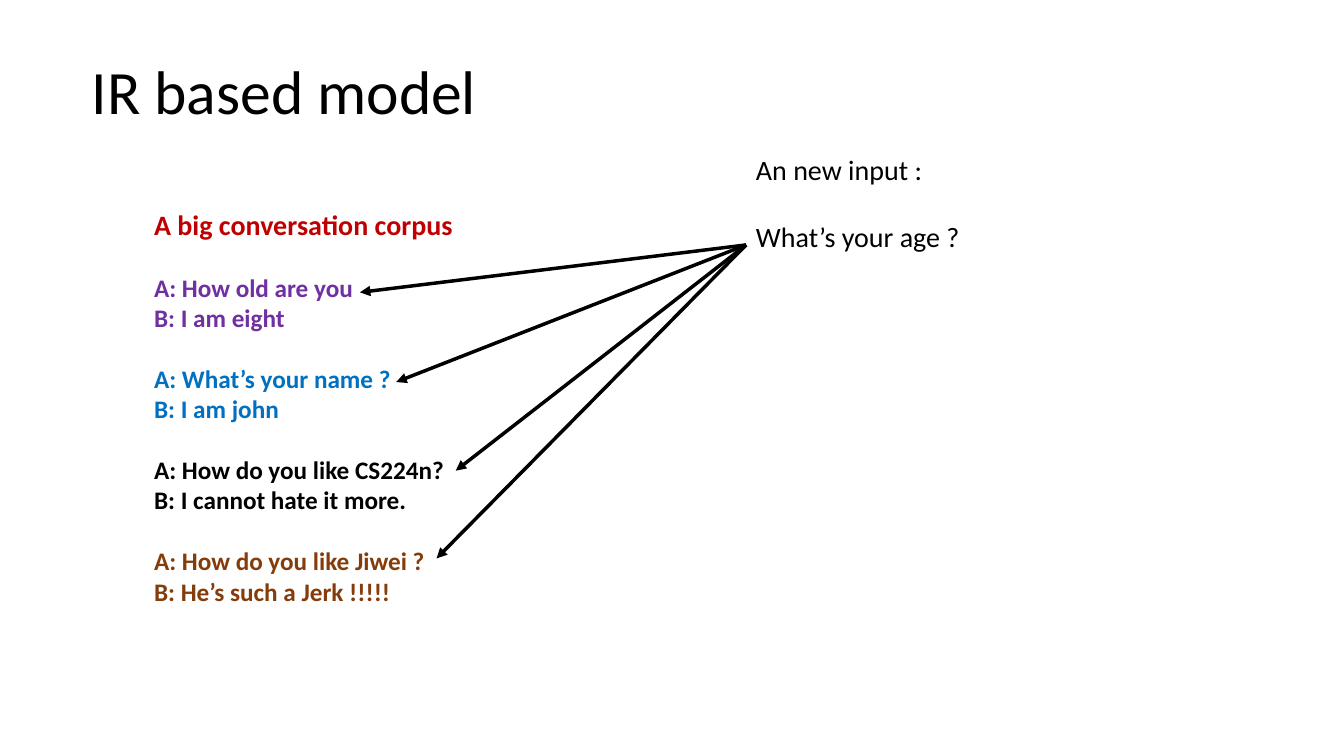
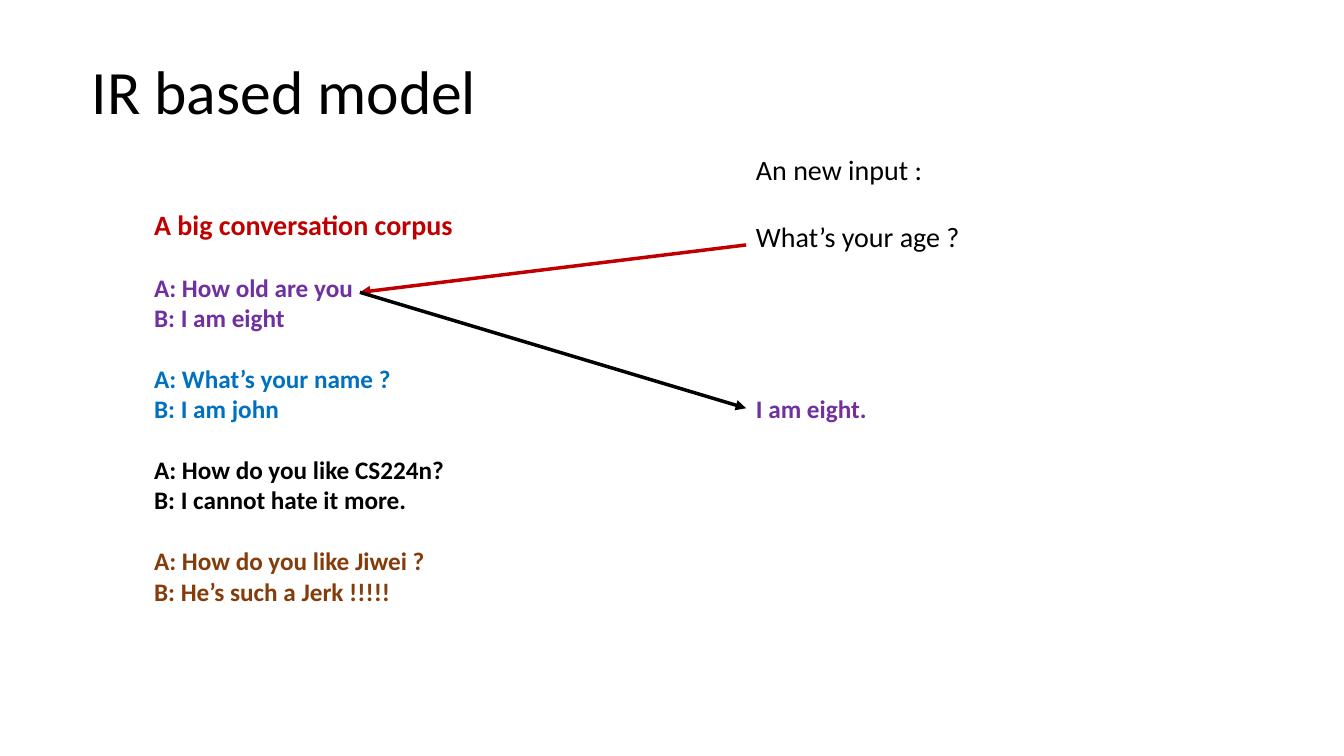
import pptx
import pptx.util
import pptx.dml.color
import pptx.enum.shapes
import pptx.enum.text
import pptx.oxml.ns
from lxml import etree

Inches, Pt = pptx.util.Inches, pptx.util.Pt

FONT = "Calibri"
COLORS = {
    "black": "000000",
    "red": "C00000",
    "purple": "7030A0",
    "blue": "0070C0",
    "brown": "843C0B",
}
EXCHANGES = [
    ("purple", "A: How old are you", "B: I am eight"),
    ("blue", "A: What’s your name ?", "B: I am john"),
    ("black", "A: How do you like CS224n?", "B: I cannot hate it more."),
    ("brown", "A: How do you like Jiwei ?", "B: He’s such a Jerk !!!!!"),
]

# Regions: left, top, width, height in inches
TITLE_BOX = (0.81, 0.42, 5.91, 1.04)
CORPUS_BOX = (1.43, 2.01, 4.16, 4.07)
INPUT_BOX = (7.4, 1.46, 5.5, 1.11)
ANSWER_BOX = (7.4, 3.85, 4.57, 0.4)

# Arrow ends: the new input, the answer and the question of each exchange
INPUT_POINT = (7.4, 2.43)
ANSWER_POINT = (7.4, 4.05)
QUESTION_POINTS = [(3.57, 2.9), (3.93, 3.79), (4.52, 4.67), (4.33, 5.54)]


def rgb(color):
    return pptx.dml.color.RGBColor.from_string(COLORS[color])


def style(paragraph, size, color="black", bold=False, gap=0):
    paragraph.space_before = Pt(gap)
    font = paragraph.font
    font.name, font.size, font.bold = FONT, Pt(size), bold
    font.color.rgb = rgb(color)


def add_lines(slide, box, lines):
    """Each line is (text, size, color, bold, gap before it in points)."""
    frame = slide.shapes.add_textbox(*map(Inches, box)).text_frame
    frame.word_wrap = True
    for index, (text, *look) in enumerate(lines):
        paragraph = frame.add_paragraph() if index else frame.paragraphs[0]
        paragraph.text = text
        style(paragraph, *look)


def add_title(slide, box, text):
    title = slide.shapes.title
    title.left, title.top, title.width, title.height = map(Inches, box)
    frame = title.text_frame
    frame.text = text
    frame.auto_size = pptx.enum.text.MSO_AUTO_SIZE.NONE
    frame.vertical_anchor = pptx.enum.text.MSO_ANCHOR.MIDDLE
    heading = frame.paragraphs[0]
    heading.alignment = pptx.enum.text.PP_ALIGN.LEFT
    heading.line_spacing = 0.9
    style(heading, 44)


def add_corpus(slide, box):
    lines = [("A big conversation corpus", 20, "red", True, 0)]
    for color, question, reply in EXCHANGES:
        lines.append((question, 18, color, True, 22))
        lines.append((reply, 18, color, True, 0))
    add_lines(slide, box, lines)


def add_input(slide, box):
    add_lines(slide, box, [
        ("An new input :", 20, "black", False, 0),
        ("What’s your age ?", 20, "black", False, 24.4),
    ])


def add_arrow(slide, start, end, color="black"):
    arrow = slide.shapes.add_connector(
        pptx.enum.shapes.MSO_CONNECTOR.STRAIGHT, *map(Inches, start + end))
    arrow.line.color.rgb = rgb(color)
    arrow.line.width = Pt(2.5)
    qn = pptx.oxml.ns.qn
    line = arrow.line._get_or_add_ln()
    etree.SubElement(line, qn("a:tailEnd")).set("type", "triangle")
    etree.SubElement(arrow._element.spPr, qn("a:effectLst"))


def add_model_slide(prs):
    """Title, corpus and new input, which both slides share."""
    slide = prs.slides.add_slide(prs.slide_layouts.get_by_name("Title Only"))
    add_title(slide, TITLE_BOX, "IR based model")
    add_corpus(slide, CORPUS_BOX)
    add_input(slide, INPUT_BOX)
    return slide


def add_matching_slide(prs):
    slide = add_model_slide(prs)
    for question_point in QUESTION_POINTS:
        add_arrow(slide, INPUT_POINT, question_point)


def add_answer_slide(prs):
    slide = add_model_slide(prs)
    best_match = QUESTION_POINTS[0]
    add_arrow(slide, INPUT_POINT, best_match, "red")
    add_lines(slide, ANSWER_BOX, [("I am eight.", 18, "purple", True, 0)])
    add_arrow(slide, best_match, ANSWER_POINT)


def main():
    prs = pptx.Presentation()
    prs.slide_width, prs.slide_height = Inches(13.33), Inches(7.5)
    add_matching_slide(prs)
    add_answer_slide(prs)
    prs.save("out.pptx")


if __name__ == "__main__":
    main()
